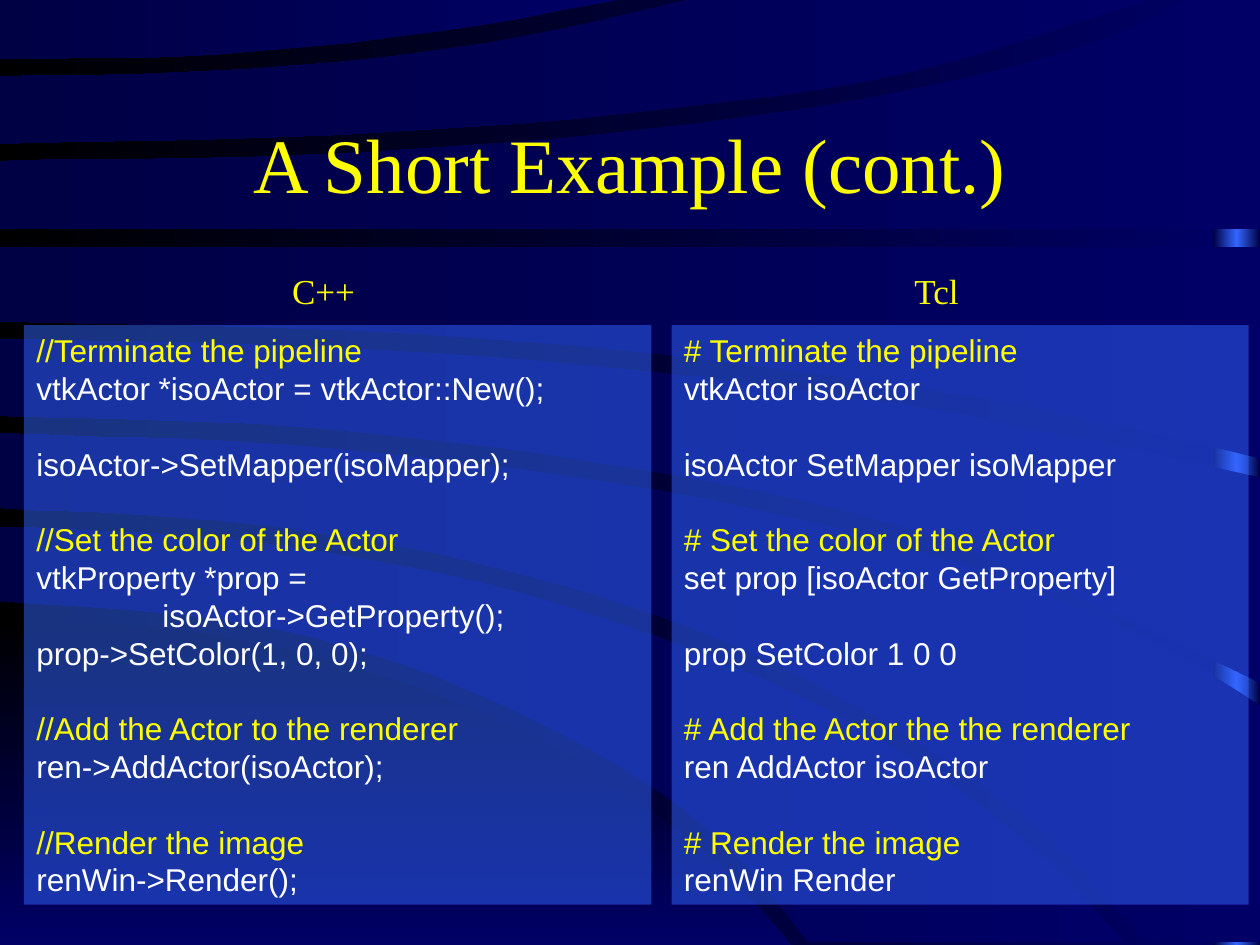
import copy

import pptx
import pptx.dml.color
import pptx.enum.shapes
import pptx.enum.text
import pptx.oxml
import pptx.oxml.ns
import pptx.util

PX = 9144
RGB = pptx.dml.color.RGBColor
BLACK = RGB(0x00, 0x00, 0x00)
NAVY = RGB(0x00, 0x00, 0x66)
DARK_NAVY = RGB(0x00, 0x00, 0x44)
BLUE = RGB(0x33, 0x66, 0xFF)
YELLOW = RGB(0xFF, 0xFF, 0x00)
WHITE = RGB(0xFF, 0xFF, 0xFF)
SERIF, SANS = "Times New Roman", "Arial"
LINE_PITCH = pptx.util.Pt(21.6)

CORNER_TOP = [(0, 491), (139, 500), (276, 529), (425, 586), (553, 671), (628, 750)]
CORNER_BASE = [(0, 750), (628, 750)]
SWEEPS = [
    ([(0, 418), (206, 431), (428, 475), (644, 557), (802, 658), (893, 748)],
     [(0, 477), (185, 493), (342, 535), (492, 608), (582, 677), (642, 748)], []),
    ([(0, 344), (249, 355), (521, 389), (738, 440), (904, 503), (1000, 560)],
     [(0, 403), (221, 418), (442, 463), (636, 537), (810, 646), (909, 748)],
     [(1000, 748)]),
    ([(0, 269), (265, 276), (523, 296), (768, 330), (1000, 379)],
     [(0, 330), (255, 340), (512, 373), (743, 427), (1000, 542)], []),
    ([(0, 196), (1000, 196)],
     [(0, 255), (278, 262), (552, 284), (813, 322), (1000, 364)], []),
    ([(0, 128), (244, 123), (465, 108), (684, 79), (862, 36), (943, -2)],
     [(0, 182), (1000, 182)], [(1000, -2)]),
    ([(0, 61), (197, 55), (383, 35), (556, -2)],
     [(0, 114), (270, 107), (504, 89), (715, 59), (917, -2)], []),
    ([(0, -2), (501, -2)], [(0, 47), (173, 43), (346, 25), (501, -2)], []),
]

CPP = [
    ["//Terminate the pipeline", "vtkActor *isoActor = vtkActor::New();"],
    ["isoActor->SetMapper(isoMapper);"],
    ["//Set the color of the Actor", "vtkProperty *prop =",
     "\tisoActor->GetProperty();", "prop->SetColor(1, 0, 0);"],
    ["//Add the Actor to the renderer", "ren->AddActor(isoActor);"],
    ["//Render the image", "renWin->Render();"],
]
TCL = [
    ["# Terminate the pipeline", "vtkActor isoActor"],
    ["isoActor SetMapper isoMapper"],
    ["# Set the color of the Actor", "set prop [isoActor GetProperty]"],
    ["prop SetColor 1 0 0"],
    ["# Add the Actor the the renderer", "ren AddActor isoActor"],
    ["# Render the image", "renWin Render"],
]


def smooth(knots, steps=5):
    ends = [knots[0], *knots, knots[-1]]
    points = [knots[0]]
    for a, b, c, d in zip(ends, ends[1:], ends[2:], ends[3:]):
        for t in (i / steps for i in range(1, steps + 1)):
            points.append(tuple(
                q + t / 2 * (r - p + t * (2 * p - 5 * q + 4 * r - u
                                          + t * (3 * (q - r) + u - p)))
                for p, q, r, u in zip(a, b, c, d)))
    return points


class Deck:
    """Hold the style and the current slide, and draw each kind of element."""

    def __init__(self):
        self.prs = pptx.Presentation()
        self.prs.slide_width, self.prs.slide_height = 1000 * PX, 750 * PX
        self.s = self.prs.slides.add_slide(self.prs.slide_layouts[5])

    def gradient(self, fill, colors, angle=180):
        fill.gradient()
        first = fill.gradient_stops[0]._gs
        for _ in colors[2:]:
            first.addnext(copy.deepcopy(first))
        for i, (stop, color) in enumerate(zip(fill.gradient_stops, colors)):
            stop.color.rgb = color
            stop.position = i / (len(colors) - 1)
        fill.gradient_angle = angle

    def plain(self, sp):
        sp.shadow.inherit = False
        sp.line.fill.background()
        return sp

    def rect(self, *box):
        kind = pptx.enum.shapes.MSO_SHAPE.RECTANGLE
        return self.plain(self.s.shapes.add_shape(kind, *(v * PX for v in box)))

    def sweep(self, upper, lower, corner, colors, angle=180):
        points = smooth(upper) + corner + smooth(lower)[::-1]
        builder = self.s.shapes.build_freeform(*points[0], scale=PX)
        builder.add_line_segments(points[1:], close=True)
        self.gradient(self.plain(builder.convert_to_shape()).fill, colors, angle)

    def run(self, p, text, size, name, color):
        r = p.add_run()
        r.text = text
        r.font.color.rgb = color
        for key, value in {"size": pptx.util.Pt(size), "name": name}.items():
            setattr(r.font, key, value)

    def title(self, text, *box):
        sp = self.s.shapes.title
        self.s.shapes._spTree.append(sp._element)
        for key, value in zip(("left", "top", "width", "height"), box):
            setattr(sp, key, value * PX)
        sp.text_frame.vertical_anchor = pptx.enum.text.MSO_ANCHOR.MIDDLE
        p = sp.text_frame.paragraphs[0]
        p.alignment = pptx.enum.text.PP_ALIGN.CENTER
        self.run(p, text, 44, SERIF, YELLOW)

    def label(self, text, *box):
        tf = self.s.shapes.add_textbox(*(v * PX for v in box)).text_frame
        tf.word_wrap = False
        self.run(tf.paragraphs[0], text, 20, SERIF, YELLOW)

    def code(self, blocks, *box):
        sp = self.rect(*box)
        sp.fill.solid()
        sp.fill.fore_color.rgb = BLUE
        rgb = next(sp._element.spPr.iter(pptx.oxml.ns.qn("a:srgbClr")))
        rgb.append(pptx.oxml.parse_xml(
            f'<a:alpha {pptx.oxml.ns.nsdecls("a")} val="50000"/>'))
        tf = sp.text_frame
        tf.word_wrap = True
        tf.vertical_anchor = pptx.enum.text.MSO_ANCHOR.TOP
        p = None
        for block in blocks:
            for i, line in enumerate(block):
                gap = LINE_PITCH if p is not None and i == 0 else 0
                p = tf.paragraphs[0] if p is None else tf.add_paragraph()
                style = {"alignment": pptx.enum.text.PP_ALIGN.LEFT,
                         "line_spacing": LINE_PITCH, "space_before": gap}
                for key, value in style.items():
                    setattr(p, key, value)
                if line.startswith("\t"):
                    p._p.get_or_add_pPr().set("marL", str(100 * PX))
                color = YELLOW if line.startswith(("//", "#")) else WHITE
                self.run(p, line.strip(), 18, SANS, color)


def main():
    deck = Deck()
    deck.gradient(deck.s.background.fill, [NAVY, BLACK])
    deck.gradient(deck.rect(963, 0, 37, 750).fill, [DARK_NAVY, BLUE, DARK_NAVY])
    deck.sweep(CORNER_TOP, CORNER_BASE, [], [BLACK, NAVY], 270)
    for upper, lower, corner in SWEEPS:
        deck.sweep(upper, lower, corner, [NAVY, DARK_NAVY])
    deck.title("A Short Example (cont.)", 75, 67, 850, 125)
    deck.code(CPP, 19, 258, 498, 460)
    deck.code(TCL, 533, 258, 458, 460)
    deck.label("C++", 222, 209, 70, 44)
    deck.label("Tcl", 716, 209, 57, 44)
    deck.prs.save("out.pptx")


if __name__ == "__main__":
    main()
